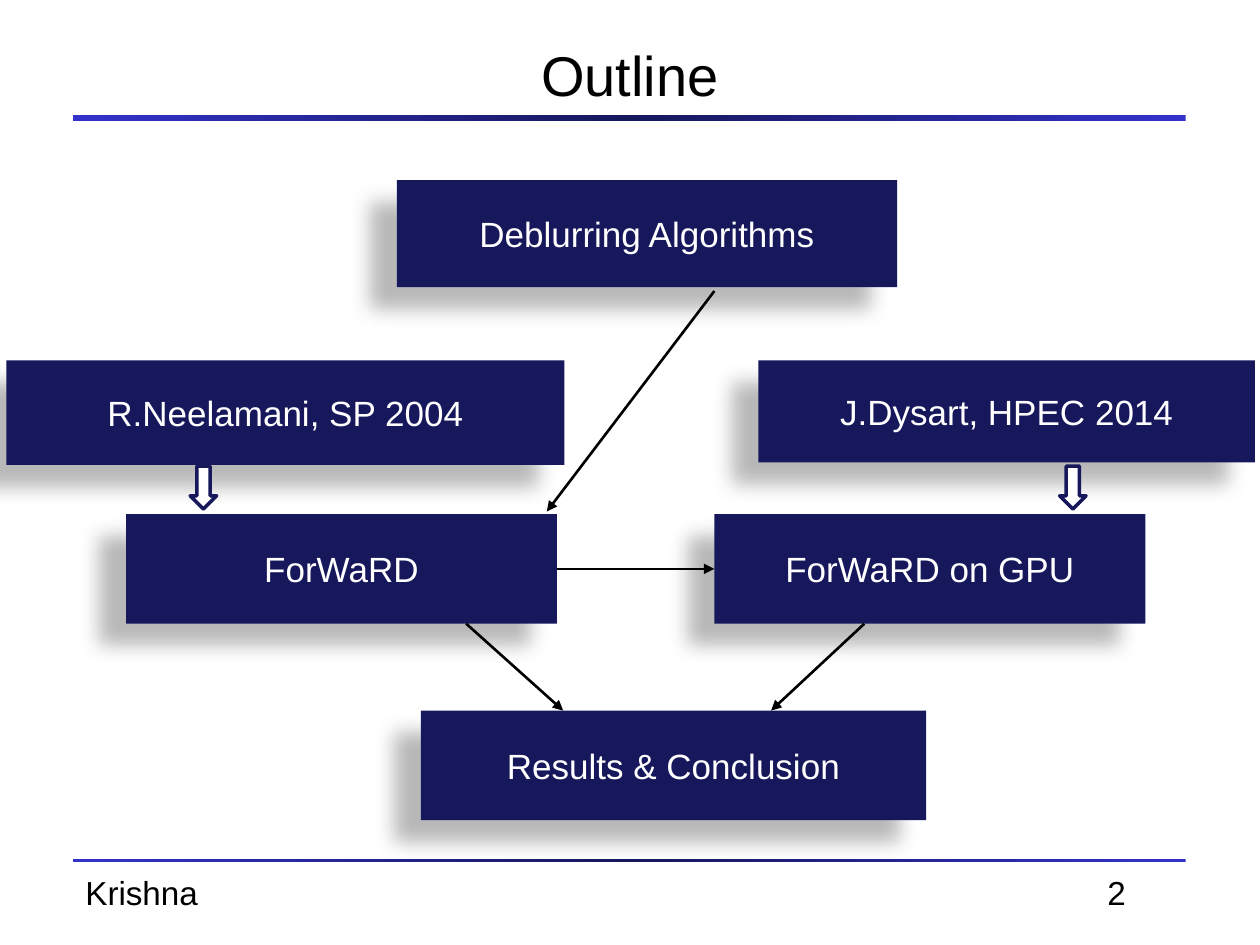
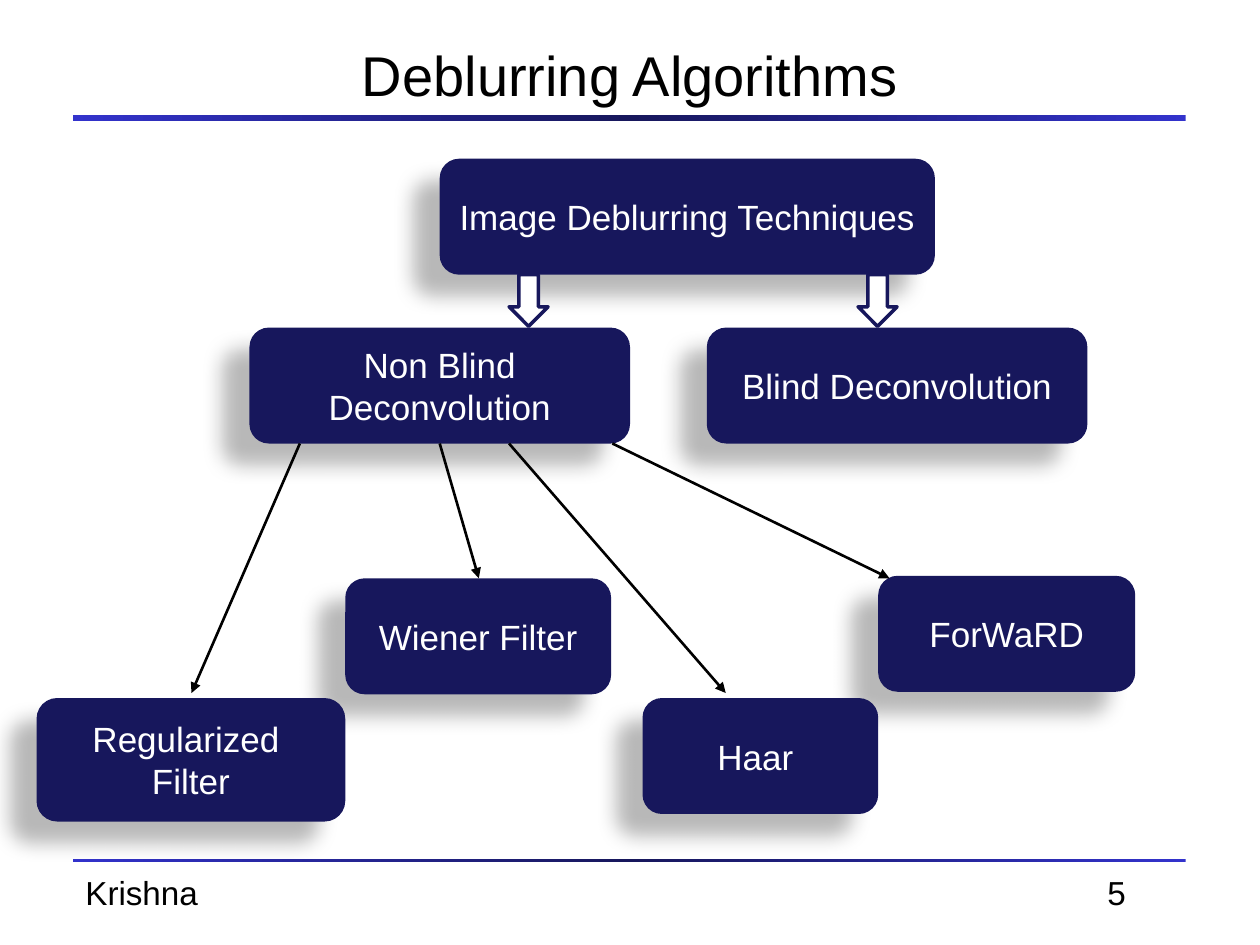
from copy import deepcopy

from lxml import etree
from pptx import Presentation
from pptx.dml.color import RGBColor
from pptx.enum.shapes import MSO_CONNECTOR, MSO_SHAPE
from pptx.enum.text import MSO_ANCHOR, PP_ALIGN
from pptx.oxml.ns import qn
from pptx.util import Inches, Pt

RECT, ROUNDED = MSO_SHAPE.RECTANGLE, MSO_SHAPE.ROUNDED_RECTANGLE
DOWN_ARROW = MSO_SHAPE.DOWN_ARROW
STRAIGHT = MSO_CONNECTOR.STRAIGHT
CENTER, LEFT = PP_ALIGN.CENTER, PP_ALIGN.LEFT
MIDDLE, TOP = MSO_ANCHOR.MIDDLE, MSO_ANCHOR.TOP

BLACK = RGBColor(0x00, 0x00, 0x00)
WHITE = RGBColor(0xFF, 0xFF, 0xFF)
NAVY = RGBColor(0x17, 0x17, 0x5C)
BLUE = RGBColor(0x33, 0x33, 0xCC)

# Formats and boxes (left, top, width, height) shared by the slides
TITLE_FONT = {"name": "Arial", "size": Pt(32), "bold": False}
FOOTER_FONT = {"name": "Arial", "size": Pt(19)}
NODE_FONT = {"name": "Arial", "size": Pt(20)}
TITLE_BOX = (0.75, 0.13, 8.5, 0.92)
RULES = [(0.58, 0.91, 8.83, 0.05), (0.58, 6.82, 8.83, 0.02)]
FOOTER_BOX = (0.58, 6.87, 8.83, 0.42)
BODY_BOX = (0, 1, 10, 5.75)
SHADOW = {"blurRad": Pt(11.8), "dist": Pt(19.7), "dir": 141 * 60000,
          "algn": "ctr", "rotWithShape": 0}

# Nodes: name -> box in the body. Links: source, x, target, x, gaps at the ends.
OUTLINE = {
    "title": "Outline", "number": "2", "shape": RECT,
    "nodes": {
        "Results & Conclusion": (3.34, 4.64, 4.01, 0.87),
        "ForWaRD on GPU": (5.67, 3.08, 3.42, 0.87),
        "ForWaRD": (1, 3.08, 3.42, 0.87),
        "Deblurring Algorithms": (3.15, 0.43, 3.97, 0.85),
        "R.Neelamani, SP 2004": (0.05, 1.86, 4.43, 0.83),
        "J.Dysart, HPEC 2014": (6.02, 1.86, 3.94, 0.81),
    },
    "block_arrows": [(x, 2.7, 0.21, 0.34) for x in (1.51, 8.41)],
    "links": [
        ("ForWaRD", 3.7, "Results & Conclusion", 4.47, 0, 0),
        ("ForWaRD on GPU", 6.86, "Results & Conclusion", 6.12, 0, 0),
        ("ForWaRD", 4.42, "ForWaRD on GPU", 5.67, 0, 0),
        ("Deblurring Algorithms", 5.67, "ForWaRD", 4.34, 0.03, 0.02),
    ],
}
ALGORITHMS = {
    "title": "Deblurring Algorithms", "number": "5", "shape": ROUNDED,
    "nodes": {
        "Image Deblurring Techniques": (3.49, 0.26, 3.93, 0.92),
        "Blind Deconvolution": (5.61, 1.6, 3.02, 0.92),
        "Non Blind Deconvolution": (1.98, 1.6, 3.02, 0.92),
        "Wiener Filter": (2.74, 3.59, 2.11, 0.92),
        "Regularized \nFilter": (0.29, 4.54, 2.45, 0.98),
        "ForWaRD": (6.97, 3.57, 2.04, 0.92),
        "Haar ": (5.1, 4.54, 1.87, 0.92),
    },
    "block_arrows": [(x, 1.18, 0.31, 0.41) for x in (4.04, 6.81)],
    "links": [
        ("Non Blind Deconvolution", 2.38, "Regularized \nFilter", 1.52, 0, 0.04),
        ("Non Blind Deconvolution", 3.49, "Wiener Filter", 3.8, 0, 0),
        ("Non Blind Deconvolution", 4.04, "Haar ", 5.76, 0, 0.04),
        ("Non Blind Deconvolution", 4.86, "ForWaRD", 7.06, 0, -0.02),
    ],
}


def inches(*values):
    return [Inches(v) for v in values]


def inside(box, part):
    """Place a part, given relative to a box, on the slide."""
    return (box[0] + part[0], box[1] + part[1], *part[2:])


def write(sp, text, font, color, align=CENTER, anchor=MIDDLE):
    tf = sp.text_frame
    tf.word_wrap = True
    tf.vertical_anchor = anchor
    tf.text = text
    for p in tf.paragraphs:
        p.alignment = align
        for r in p.runs:
            for key, value in font.items():
                setattr(r.font, key, value)
            r.font.color.rgb = color


def add_block(slide, kind, box, fill=None, line=None):
    sp = slide.shapes.add_shape(kind, *inches(*box))
    sp.shadow.inherit = False
    if fill is not None:
        sp.fill.solid()
        sp.fill.fore_color.rgb = fill
    if line is None:
        sp.line.fill.background()
    else:
        sp.line.color.rgb = line
        sp.line.width = Pt(2)
    return sp


def add_shadow(sp):
    effects = sp._element.spPr.find(qn("a:effectLst"))
    shadow = etree.SubElement(effects, qn("a:outerShdw"),
                              {k: str(v) for k, v in SHADOW.items()})
    color = etree.SubElement(shadow, qn("a:srgbClr"), val=str(BLACK))
    etree.SubElement(color, qn("a:alpha"), val="28000")


def add_rule(slide, box):
    """Blue line that darkens towards its middle."""
    sp = add_block(slide, RECT, box)
    sp.fill.gradient()
    sp.fill.gradient_angle = 0
    first = sp._element.spPr.find(".//" + qn("a:gs"))
    middle = deepcopy(first)
    middle.set("pos", "50000")
    first.addnext(middle)
    for stop, color in zip(sp.fill.gradient_stops, (BLUE, NAVY, BLUE)):
        stop.color.rgb = color


def add_footer(slide, box, number):
    for text, x, w in (("Krishna", 0, 2.77), (number, 8.11, 0.73)):
        sp = slide.shapes.add_textbox(*inches(*inside(box, (x, 0, w, box[3]))))
        write(sp, text, FOOTER_FONT, BLACK, LEFT, TOP)


def add_arrow(slide, start, end):
    line = slide.shapes.add_connector(STRAIGHT, *inches(*start, *end))
    line.line.color.rgb = BLACK
    line.line.width = Pt(1.5)
    spPr = line._element.spPr
    etree.SubElement(spPr.find(qn("a:ln")), qn("a:tailEnd"), type="triangle")
    etree.SubElement(spPr, qn("a:effectLst"))


def add_flow(slide, box, flow):
    nodes = flow["nodes"]
    for text, part in nodes.items():
        sp = add_block(slide, flow["shape"], inside(box, part), NAVY)
        add_shadow(sp)
        write(sp, text, NODE_FONT, WHITE)
    for part in flow["block_arrows"]:
        add_block(slide, DOWN_ARROW, inside(box, part), WHITE, NAVY)
    for source, x1, target, x2, gap1, gap2 in flow["links"]:
        _, top1, _, h1 = nodes[source]
        _, top2, _, _ = nodes[target]
        if top1 == top2:  # neighbours join at mid height
            y1 = y2 = top1 + h1 / 2
        else:
            y1, y2 = top1 + h1 + gap1, top2 - gap2
        add_arrow(slide, inside(box, (x1, y1)), inside(box, (x2, y2)))


def add_flow_slide(prs, flow):
    slide = prs.slides.add_slide(prs.slide_layouts[5])
    # Title and frame
    title = slide.shapes.title
    title.left, title.top, title.width, title.height = inches(*TITLE_BOX)
    write(title, flow["title"], TITLE_FONT, BLACK)
    for rule in RULES:
        add_rule(slide, rule)
    add_footer(slide, FOOTER_BOX, flow["number"])
    # Diagram
    add_flow(slide, BODY_BOX, flow)


def main():
    prs = Presentation()
    prs.slide_width, prs.slide_height = inches(10, 7.5)
    for flow in (OUTLINE, ALGORITHMS):
        add_flow_slide(prs, flow)
    prs.save("out.pptx")


if __name__ == "__main__":
    main()
